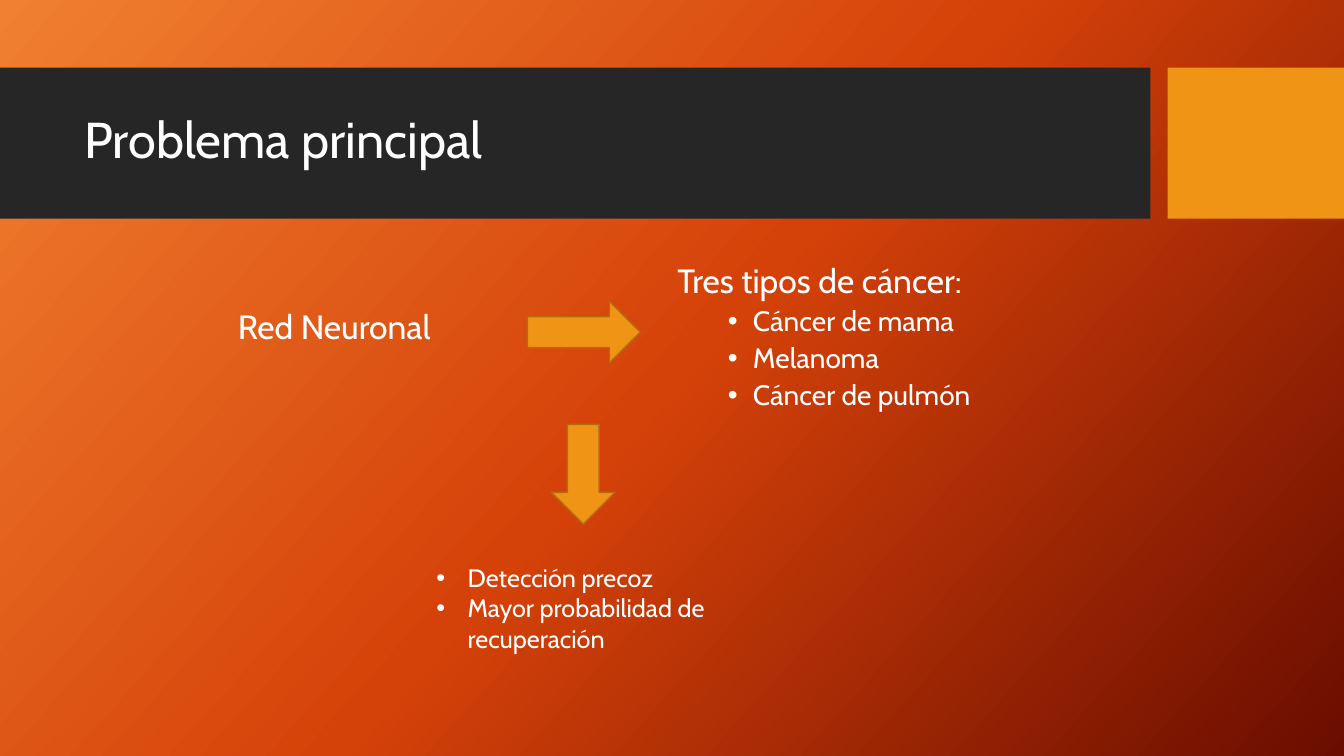
"""Build the slide on the main problem: a neural network, three cancers and the benefits."""
from copy import deepcopy

from pptx import Presentation
from pptx.dml.color import RGBColor
from pptx.enum.shapes import MSO_SHAPE as Shape
from pptx.enum.text import MSO_ANCHOR as Anchor
from pptx.oxml.ns import qn
from pptx.oxml.xmlchemy import OxmlElement
from pptx.util import Inches, Pt

FONT = "Cabin"
COLORS = {"band": "262626", "accent": "F09415", "edge": "B26D10", "text": "FFFFFF"}
GRADIENT = [(0, "F18031"), (0.5, "D54209"), (1, "6A0D00")]
GRADIENT_ANGLE = 42

BLOCKS = [
    (Shape.RECTANGLE, (0, 0.67, 11.41, 1.5), "band", None),
    (Shape.RECTANGLE, (11.58, 0.67, 1.75, 1.5), "accent", None),
    (Shape.RIGHT_ARROW, (5.23, 2.99, 1.12, 0.61), "accent", "edge"),
    (Shape.DOWN_ARROW, (5.47, 4.21, 0.63, 0.99), "accent", "edge"),
]

PLAIN = {"title": (36, 0.9, 0, None), "lead": (24, 0.9, 10, None), "node": (24, 1, 0, None)}
BULLETED = {"type": (20, 0.9, 5, (0.75, -0.25)), "benefit": (18, 1, 0, (0.31, -0.31))}
STYLES = PLAIN | BULLETED

TEXTS = [
    ((0.74, 0.82, 10.51, 1.18), Anchor.MIDDLE, [("title", "Problema principal")]),
    ((6.62, 2.57, 3.74, 1.91), Anchor.TOP, [
        ("lead", "Tres tipos de cáncer:"),
        ("type", "Cáncer de mama"),
        ("type", "Melanoma"),
        ("type", "Cáncer de pulmón"),
    ]),
    ((2.26, 2.99, 2.28, 0.5), Anchor.TOP, [("node", "Red Neuronal")]),
    ((4.23, 5.53, 3.12, 1.01), Anchor.TOP, [
        ("benefit", "Detección precoz"),
        ("benefit", "Mayor probabilidad de recuperación"),
    ]),
]


def paint_background(slide):
    fill = slide.background.fill
    fill.gradient()
    fill.gradient_angle = 360 - GRADIENT_ANGLE
    stops = slide.element.find(".//" + qn("a:gsLst"))
    stops.insert(1, deepcopy(stops[0]))
    for stop, (position, color) in zip(fill.gradient_stops, GRADIENT):
        stop.position = position
        stop.color.rgb = RGBColor.from_string(color)


def add_block(slide, kind, box, fill, edge):
    block = slide.shapes.add_shape(kind, *map(Inches, box))
    block.shadow.inherit = False
    block.fill.solid()
    block.fill.fore_color.rgb = RGBColor.from_string(COLORS[fill])
    if edge:
        block.line.color.rgb = RGBColor.from_string(COLORS[edge])
        block.line.width = Pt(1)
    else:
        block.line.fill.background()


def add_bullet(paragraph, margin, indent):
    properties = paragraph._p.get_or_add_pPr()
    properties.set("marL", str(Inches(margin)))
    properties.set("indent", str(Inches(indent)))
    for tag, key, value in [("a:buFont", "typeface", "Arial"), ("a:buChar", "char", "•")]:
        bullet = OxmlElement(tag)
        bullet.set(key, value)
        properties.append(bullet)


def add_text(slide, box, anchor, lines):
    frame = slide.shapes.add_textbox(*map(Inches, box)).text_frame
    frame.word_wrap = True
    frame.vertical_anchor = anchor
    for number, (style, words) in enumerate(lines):
        paragraph = frame.add_paragraph() if number else frame.paragraphs[0]
        size, spacing, before, bullet = STYLES[style]
        paragraph.text = words
        paragraph.line_spacing = spacing
        paragraph.space_before = Pt(before)
        paragraph.font.name = FONT
        paragraph.font.size = Pt(size)
        paragraph.font.color.rgb = RGBColor.from_string(COLORS["text"])
        if bullet:
            add_bullet(paragraph, *bullet)


def main():
    deck = Presentation()
    deck.slide_width, deck.slide_height = Inches(13.33), Inches(7.5)
    slide = deck.slides.add_slide(deck.slide_layouts[6])
    paint_background(slide)
    for block in BLOCKS:
        add_block(slide, *block)
    for text in TEXTS:
        add_text(slide, *text)
    deck.save("out.pptx")


if __name__ == "__main__":
    main()
